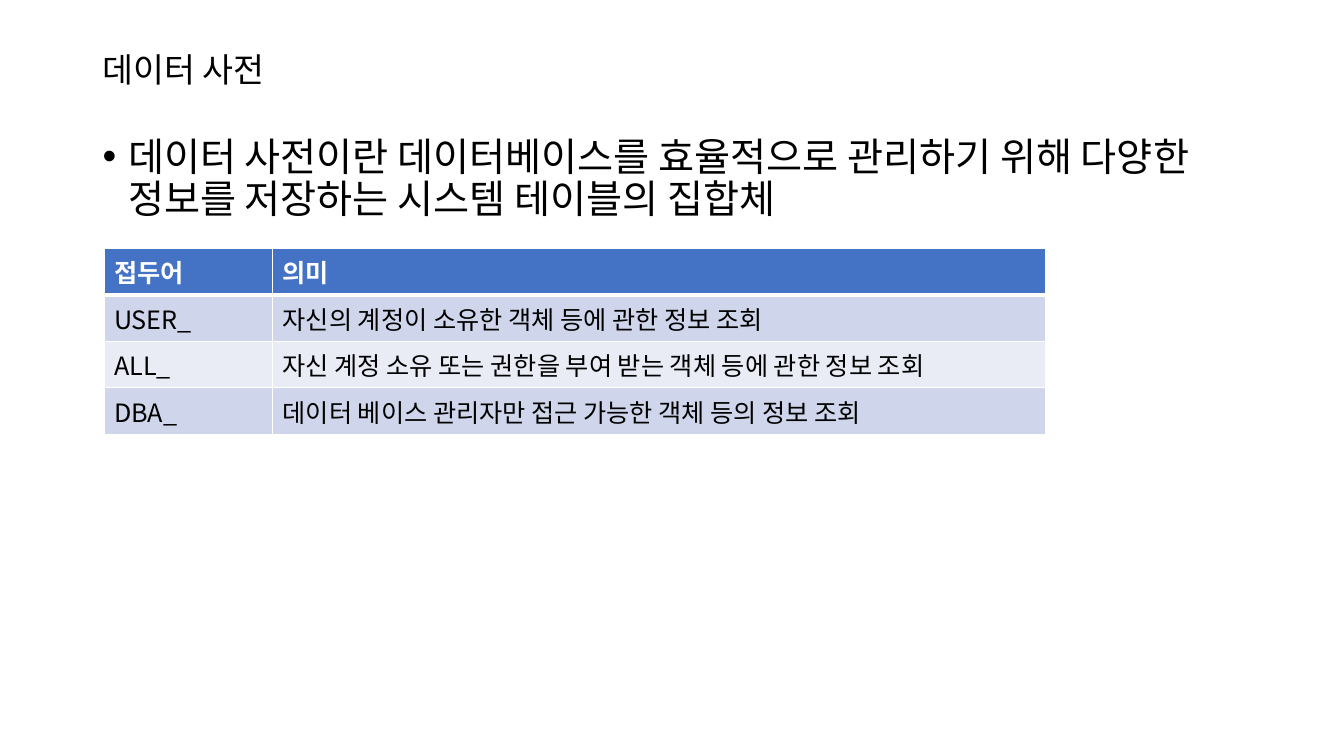
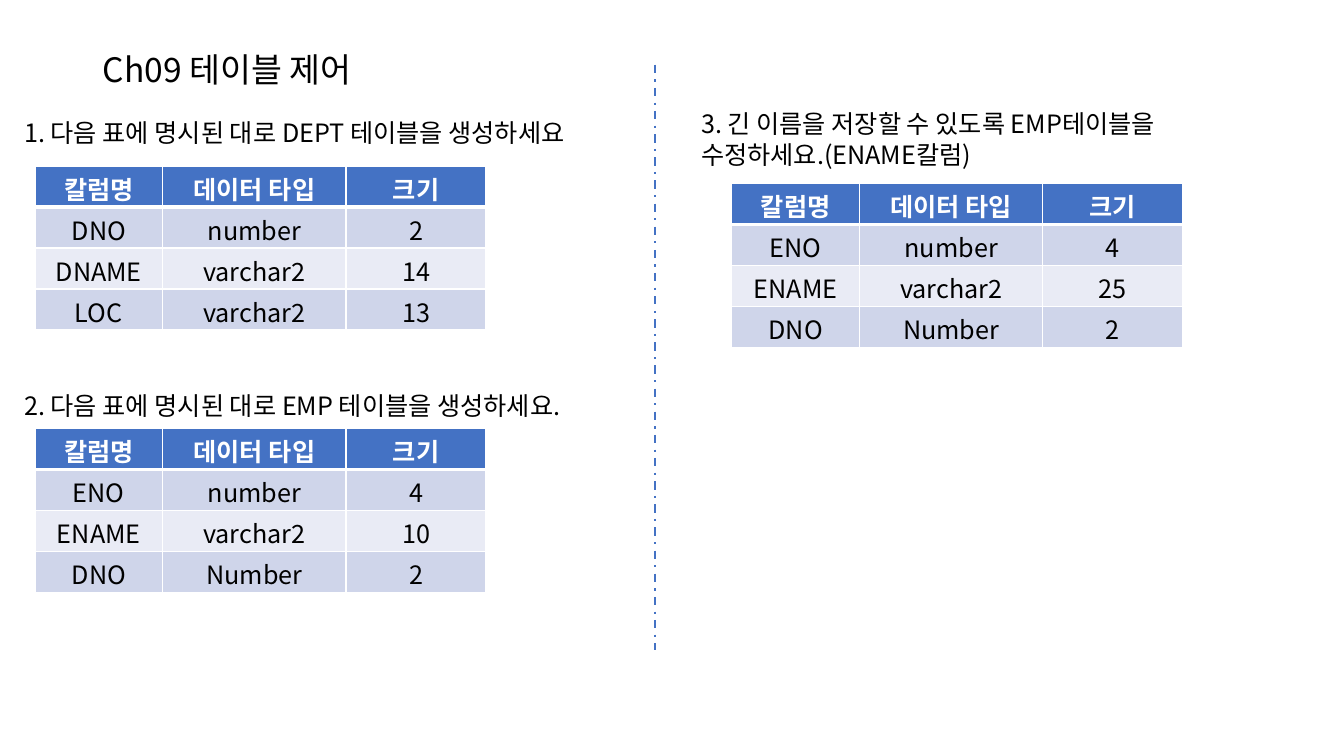
from dataclasses import dataclass

import pptx
import pptx.dml.color
import pptx.enum.dml
import pptx.enum.shapes
import pptx.enum.text
import pptx.oxml
import pptx.oxml.ns
import pptx.presentation
import pptx.slide
import pptx.table
import pptx.util
from pptx.dml.color import RGBColor
from pptx.util import Cm

FONT = "Noto Sans CJK KR"
BLACK = RGBColor(0x00, 0x00, 0x00)
WHITE = RGBColor(0xFF, 0xFF, 0xFF)
BLUE = RGBColor(0x44, 0x72, 0xC4)
ROW_FILLS = (RGBColor(0xCF, 0xD5, 0xEA), RGBColor(0xE9, 0xEB, 0xF5))
CENTER = pptx.enum.text.PP_ALIGN.CENTER
LEFT = pptx.enum.text.PP_ALIGN.LEFT
COLUMN_HEADERS = ("칼럼명", "데이터 타입", "크기")


@dataclass(frozen=True)
class TableStyle:
    """Lengths in centimetres."""
    column_widths: tuple[float, ...]
    row_height: float
    margin_top: float
    margin_bottom: float
    alignment: pptx.enum.text.PP_ALIGN


@dataclass(frozen=True)
class Exercise:
    """A numbered task with the table it refers to; lengths in centimetres."""
    text: str
    text_left: float
    text_top: float
    text_width: float
    table_left: float
    table_top: float
    rows: tuple[tuple[str, ...], ...]


PREFIX_STYLE = TableStyle((4.25, 19.48), 1.17, 0.13, 0.13, LEFT)
SCHEMA_STYLE = TableStyle((3.22, 4.62, 3.53), 1.03, 0.1, 0, CENTER)

PREFIX_ROWS = (
    ("접두어", "의미"),
    ("USER_", "자신의 계정이 소유한 객체 등에 관한 정보 조회"),
    ("ALL_", "자신 계정 소유 또는 권한을 부여 받는 객체 등에 관한 정보 조회"),
    ("DBA_", "데이터 베이스 관리자만 접근 가능한 객체 등의 정보 조회"),
)

EXERCISES = (
    Exercise("1. 다음 표에 명시된 대로 DEPT 테이블을 생성하세요",
             0.36, 2.82, 15.88, 0.88, 4.19,
             (("DNO", "number", "2"), ("DNAME", "varchar2", "14"), ("LOC", "varchar2", "13"))),
    Exercise("2. 다음 표에 명시된 대로 EMP 테이블을 생성하세요.",
             0.36, 9.7, 15.88, 0.88, 10.8,
             (("ENO", "number", "4"), ("ENAME", "varchar2", "10"), ("DNO", "Number", "2"))),
    Exercise("3. 긴 이름을 저장할 수 있도록 EMP테이블을 수정하세요.(ENAME칼럼)",
             17.42, 2.59, 14.86, 18.44, 4.63,
             (("ENO", "number", "4"), ("ENAME", "varchar2", "25"), ("DNO", "Number", "2"))),
)


def format_paragraph(paragraph, size: float, color: RGBColor = BLACK, bold: bool = False) -> None:
    for run in paragraph.runs:
        run.font.name = FONT
        run.font.size = pptx.util.Pt(size)
        run.font.bold = bold
        run.font.color.rgb = color
        east_asian = pptx.oxml.parse_xml(
            f'<a:ea {pptx.oxml.ns.nsdecls("a")} typeface="{FONT}"/>')
        run.font._element.find(pptx.oxml.ns.qn("a:latin")).addnext(east_asian)


def add_text(slide: pptx.slide.Slide, text: str, left: float, top: float, width: float,
             height: float, size: float, line_spacing: float | pptx.util.Pt):
    """Add a wrapping text box (centimetres) and return its shape."""
    shape = slide.shapes.add_textbox(Cm(left), Cm(top), Cm(width), Cm(height))
    shape.text_frame.word_wrap = True
    shape.text_frame.text = text
    paragraph = shape.text_frame.paragraphs[0]
    paragraph.line_spacing = line_spacing
    format_paragraph(paragraph, size)
    return shape


def add_title(slide: pptx.slide.Slide, text: str) -> None:
    shape = add_text(slide, text, 2.34, 1.02, 16.43, 1.57, 24, 0.9)
    shape.text_frame.vertical_anchor = pptx.enum.text.MSO_ANCHOR.MIDDLE


def add_bullet(paragraph) -> None:
    properties = paragraph._p.get_or_add_pPr()
    properties.set("marL", str(Cm(0.64)))
    properties.set("indent", str(-Cm(0.64)))
    namespace = pptx.oxml.ns.nsdecls("a")
    properties.append(pptx.oxml.parse_xml(f'<a:buFont {namespace} typeface="Arial"/>'))
    properties.append(pptx.oxml.parse_xml(f'<a:buChar {namespace} char="•"/>'))


def add_borders(cell: pptx.table._Cell, row_index: int) -> None:
    """Draw white borders, with a thick one between header and body."""
    points = {"L": 1, "R": 1, "T": 3 if row_index == 1 else 1, "B": 3 if row_index == 0 else 1}
    properties = cell._tc.get_or_add_tcPr()
    for side, width in points.items():
        properties.append(pptx.oxml.parse_xml(
            f'<a:ln{side} {pptx.oxml.ns.nsdecls("a")} w="{pptx.util.Pt(width)}">'
            f'<a:solidFill><a:srgbClr val="{WHITE}"/></a:solidFill></a:ln{side}>'))


def add_table(slide: pptx.slide.Slide, rows: tuple[tuple[str, ...], ...],
              left: float, top: float, style: TableStyle) -> None:
    table = slide.shapes.add_table(
        len(rows), len(style.column_widths), Cm(left), Cm(top),
        Cm(sum(style.column_widths)), Cm(style.row_height * len(rows))).table
    for column, width in zip(table.columns, style.column_widths):
        column.width = Cm(width)
    for row_index, texts in enumerate(rows):
        is_header = row_index == 0
        table.rows[row_index].height = Cm(style.row_height)
        for column_index, text in enumerate(texts):
            cell = table.cell(row_index, column_index)
            cell.margin_top = Cm(style.margin_top)
            cell.margin_bottom = Cm(style.margin_bottom)
            add_borders(cell, row_index)
            cell.fill.solid()
            cell.fill.fore_color.rgb = BLUE if is_header else ROW_FILLS[(row_index - 1) % 2]
            cell.text_frame.text = text
            paragraph = cell.text_frame.paragraphs[0]
            paragraph.alignment = style.alignment
            format_paragraph(paragraph, 18, WHITE if is_header else BLACK, is_header)


def add_divider(slide: pptx.slide.Slide) -> None:
    line = slide.shapes.add_connector(
        pptx.enum.shapes.MSO_CONNECTOR.STRAIGHT, Cm(16.51), Cm(1.63), Cm(16.51), Cm(16.38))
    line.line.color.rgb = BLUE
    line.line.width = pptx.util.Pt(1.5)
    line.line.dash_style = pptx.enum.dml.MSO_LINE.DASH_DOT
    line._element.spPr.append(
        pptx.oxml.parse_xml(f'<a:effectLst {pptx.oxml.ns.nsdecls("a")}/>'))


def add_slide(presentation: pptx.presentation.Presentation, title: str) -> pptx.slide.Slide:
    slide = presentation.slides.add_slide(presentation.slide_layouts[6])
    add_title(slide, title)
    return slide


def build_dictionary_slide(presentation: pptx.presentation.Presentation) -> None:
    slide = add_slide(presentation, "데이터 사전")
    definition = add_text(
        slide, "데이터 사전이란 데이터베이스를 효율적으로 관리하기 위해 다양한 정보를 저장하는 "
        "시스템 테이블의 집합체", 2.34, 3.35, 29.21, 2.6, 28, pptx.util.Pt(30))
    add_bullet(definition.text_frame.paragraphs[0])
    add_table(slide, PREFIX_ROWS, 2.62, 6.26, PREFIX_STYLE)


def build_exercise_slide(presentation: pptx.presentation.Presentation) -> None:
    slide = add_slide(presentation, "Ch09 테이블 제어")
    add_divider(slide)
    for exercise in EXERCISES:
        add_text(slide, exercise.text, exercise.text_left, exercise.text_top,
                 exercise.text_width, 1.1, 18, pptx.util.Pt(22))
        add_table(slide, (COLUMN_HEADERS, *exercise.rows),
                  exercise.table_left, exercise.table_top, SCHEMA_STYLE)


def main() -> None:
    presentation = pptx.Presentation()
    presentation.slide_width = Cm(33.87)
    presentation.slide_height = Cm(19.05)
    build_dictionary_slide(presentation)
    build_exercise_slide(presentation)
    presentation.save("out.pptx")


if __name__ == "__main__":
    main()
